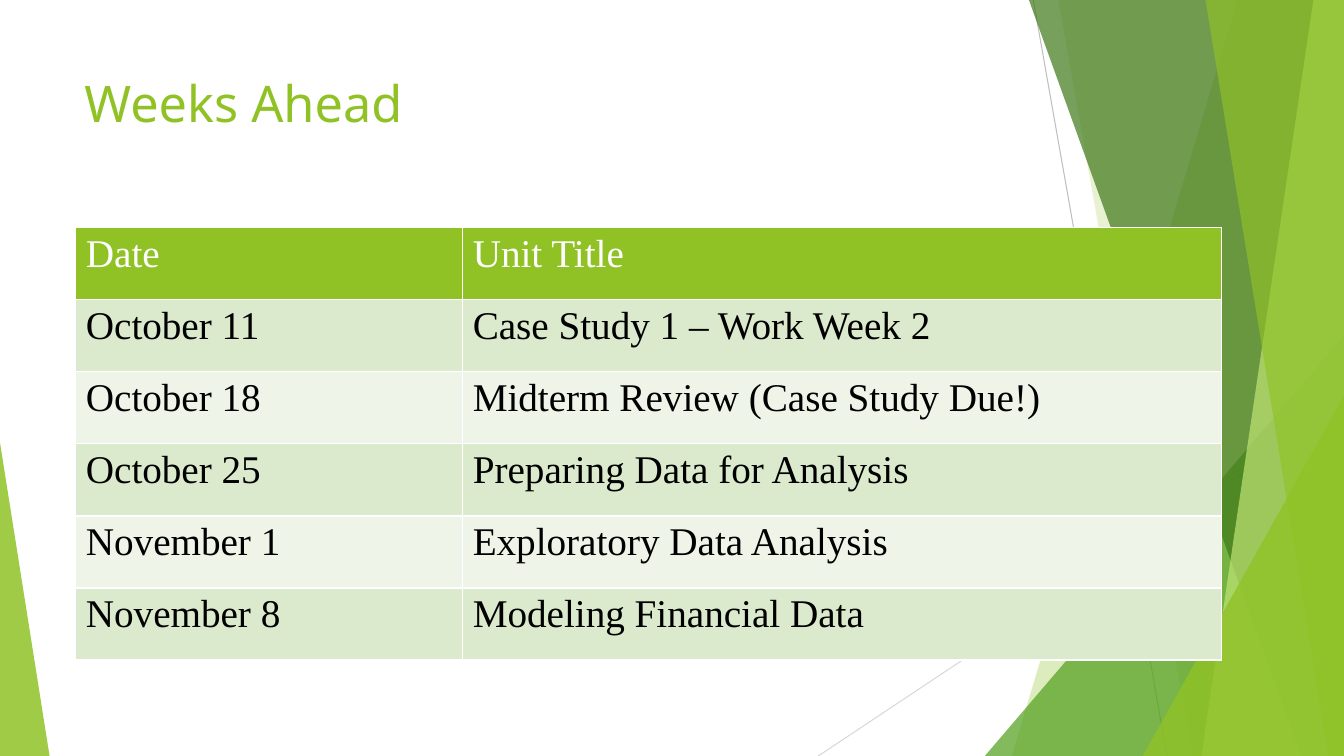
from collections import namedtuple

from lxml import etree
from pptx import Presentation
from pptx.dml.color import RGBColor
from pptx.enum.shapes import MSO_CONNECTOR, MSO_SHAPE
from pptx.oxml.ns import qn
from pptx.util import Cm, Pt

STRAIGHT = MSO_CONNECTOR.STRAIGHT
TRIANGLE = MSO_SHAPE.ISOSCELES_TRIANGLE
GREEN = "90C226"
WHITE = "FFFFFF"
BLACK = "000000"
BANDS = ("DBE9CD", "EEF4E8")
WEEKS = [
    ("Date", "Unit Title"),
    ("October 11", "Case Study 1 – Work Week 2"),
    ("October 18", "Midterm Review (Case Study Due!)"),
    ("October 25", "Preparing Data for Analysis"),
    ("November 1", "Exploratory Data Analysis"),
    ("November 8", "Modeling Financial Data"),
]

Box = namedtuple("Box", "left top width height")


def color(value):
    return RGBColor.from_string(value)


def style_font(para, name, size, value):
    para.font.name = name
    para.font.size = Pt(size)
    para.font.bold = False
    para.font.color.rgb = color(value)


def paint(shape, value, opacity):
    shape.shadow.inherit = False
    shape.line.fill.background()
    shape.fill.solid()
    shape.fill.fore_color.rgb = color(value)
    tint = shape.fill._xPr.find(qn("a:solidFill"))[0]
    etree.SubElement(tint, qn("a:alpha"), val=str(opacity * 1000))


def add_line(page, box, start, end, value):
    x1, y1 = start
    x2, y2 = end
    line = page.shapes.add_connector(
        STRAIGHT, Cm(box.left + x1), Cm(box.top + y1),
        Cm(box.left + x2), Cm(box.top + y2))
    line.line.color.rgb = color(value)
    line.line.width = Pt(0.75)
    etree.SubElement(line._element.spPr, qn("a:effectLst"))


def add_facet(page, box, top_x, bottom_x, value, opacity):
    right, bottom = box.left + box.width, box.top + box.height
    outline = page.shapes.build_freeform(
        Cm(box.left + top_x), Cm(box.top), scale=1.0)
    outline.add_line_segments([
        (Cm(right), Cm(box.top)),
        (Cm(right), Cm(bottom)),
        (Cm(box.left + bottom_x), Cm(bottom)),
    ])
    paint(outline.convert_to_shape(), value, opacity)


def add_corner(page, box, apex, value, opacity):
    corner = page.shapes.add_shape(TRIANGLE, *map(Cm, box))
    corner.adjustments[0] = apex
    paint(corner, value, opacity)


def add_right_corner(page, box, x, height, value, opacity):
    area = Box(box.left + x, box.top + box.height - height,
               box.width - x, height)
    add_corner(page, area, 1, value, opacity)


def add_facets(page, box):
    add_line(page, box, (5.42, 0), (8.79, box.height), "BFBFBF")
    add_line(page, box, (box.width, 10.24), (0, box.height), "D9D9D9")
    add_facet(page, box, 10.57, 4.88, GREEN, 30)
    add_facet(page, box, 6.05, 9.43, GREEN, 20)
    add_right_corner(page, box, 4.2, 10.59, "54A021", 72)
    add_facet(page, box, 5.31, 12.17, "3F7819", 70)
    add_facet(page, box, 12.48, 9.66, "C0E474", 70)
    add_facet(page, box, 9.76, 12.86, GREEN, 65)
    add_right_corner(page, box, 8.18, 9.07, GREEN, 80)


def add_title(page, box, text):
    frame = page.shapes.add_textbox(*map(Cm, box)).text_frame
    frame.word_wrap = True
    para = frame.paragraphs[0]
    para.text = text
    style_font(para, "Noto Sans", 36, GREEN)


def add_borders(cell):
    properties = cell._tc.get_or_add_tcPr()
    for side in ("lnL", "lnR", "lnT", "lnB"):
        border = etree.SubElement(properties, qn(f"a:{side}"), w=str(Pt(1)))
        fill = etree.SubElement(border, qn("a:solidFill"))
        etree.SubElement(fill, qn("a:srgbClr"), val=WHITE)


def add_schedule(page, box, rows, date_width):
    table = page.shapes.add_table(len(rows), 2, *map(Cm, box)).table
    table.columns[0].width = Cm(date_width)
    table.columns[1].width = Cm(box.width - date_width)
    for row_index, texts in enumerate(rows):
        table.rows[row_index].height = Cm(box.height / len(rows))
        header = row_index == 0
        background = GREEN if header else BANDS[(row_index - 1) % 2]
        for column_index, text in enumerate(texts):
            cell = table.cell(row_index, column_index)
            add_borders(cell)
            cell.fill.solid()
            cell.fill.fore_color.rgb = color(background)
            para = cell.text_frame.paragraphs[0]
            para.text = text
            style_font(para, "Times New Roman", 28,
                       WHITE if header else BLACK)


def build_page(page, box):
    add_facets(page, Box(20.62, 0, box.width - 20.62, box.height))
    add_corner(page, Box(0, box.height - 7.9, 1.25, 7.9), 0, GREEN, 85)
    add_title(page, Box(1.88, 1.7, 23.88, 3.66), "Weeks Ahead")
    add_schedule(page, Box(1.91, 5.74, 28.88, 10.89), WEEKS, 9.75)


deck = Presentation()
sheet = Box(0, 0, 33.87, 19.05)
deck.slide_width = Cm(sheet.width)
deck.slide_height = Cm(sheet.height)
build_page(deck.slides.add_slide(deck.slide_layouts[6]), sheet)
deck.save("out.pptx")
